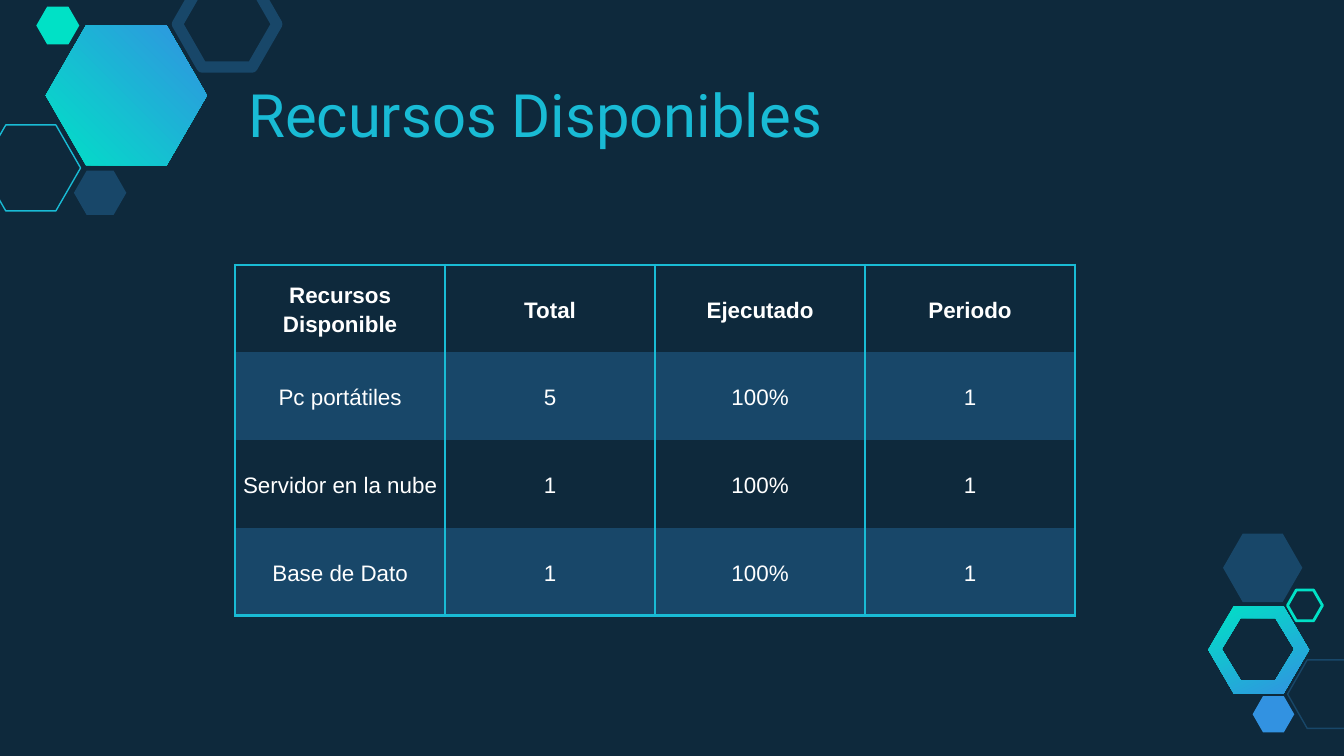
"""Build the "Recursos Disponibles" slide: a resource table framed by hexagons."""
from typing import NamedTuple, Optional

from lxml.etree import SubElement
from pptx import Presentation
from pptx.dml.color import RGBColor
from pptx.enum.shapes import MSO_SHAPE
from pptx.enum.text import MSO_ANCHOR, PP_ALIGN
from pptx.oxml.ns import qn
from pptx.util import Inches, Pt

NAVY = RGBColor(0x0E, 0x29, 0x3C)
STEEL = RGBColor(0x18, 0x47, 0x69)
CYAN = RGBColor(0x19, 0xBB, 0xD5)
MINT = RGBColor(0x00, 0xE1, 0xC6)
BLUE = RGBColor(0x32, 0x92, 0xE1)
WHITE = RGBColor(0xFF, 0xFF, 0xFF)


class Hexagon(NamedTuple):
    left: float
    top: float
    width: float
    height: float
    fill: Optional[RGBColor] = None
    line: Optional[RGBColor] = None
    line_width: float = 0


class Outline(NamedTuple):
    left: float
    top: float
    width: float
    height: float
    inset: float


class GradientHexagon(NamedTuple):
    outlines: list[Outline]
    angle: float


GRADIENT_HEXAGONS = [
    GradientHexagon([Outline(8.99, 4.51, 0.75, 0.65, 0.19), Outline(9.09, 4.6, 0.54, 0.46, 0.14)], 296),
    GradientHexagon([Outline(0.34, 0.19, 1.2, 1.04, 0.3)], 45),
]
HEXAGONS = [
    Hexagon(-0.14, 0.93, 0.74, 0.64, line=CYAN, line_width=0.75),
    Hexagon(0.55, 1.27, 0.39, 0.33, fill=STEEL),
    Hexagon(1.32, -0.14, 0.74, 0.64, line=STEEL, line_width=6),
    Hexagon(0.27, 0.05, 0.32, 0.28, fill=MINT),
    Hexagon(9.58, 4.91, 0.59, 0.51, line=STEEL, line_width=0.75),
    Hexagon(9.32, 5.18, 0.31, 0.27, fill=BLUE),
    Hexagon(9.1, 3.97, 0.59, 0.51, fill=STEEL),
    Hexagon(9.58, 4.39, 0.26, 0.23, line=MINT, line_width=1.5),
]
ROWS = [
    ("Recursos Disponible", "Total", "Ejecutado", "Periodo"),
    ("Pc portátiles", "5", "100%", "1"),
    ("Servidor en la nube", "1", "100%", "1"),
    ("Base de Dato", "1", "100%", "1"),
]


def outline_points(outline: Outline, reverse: bool) -> list[tuple[int, int]]:
    """Return the six corners of a flat-topped hexagon."""
    left, top, width, height, inset = outline
    right, bottom, middle = left + width, top + height, top + height / 2
    corners = [(left, middle), (left + inset, top), (right - inset, top),
               (right, middle), (right - inset, bottom), (left + inset, bottom)]
    points = [(Inches(x), Inches(y)) for x, y in corners]
    return points[::-1] if reverse else points


def draw_gradient_hexagon(slide, hexagon: GradientHexagon) -> None:
    """Draw a gradient hexagon whose second outline, if any, is a hole."""
    builder = None
    for index, outline in enumerate(hexagon.outlines):
        start, *rest = outline_points(outline, reverse=index > 0)
        if builder is None:
            builder = slide.shapes.build_freeform(*start)
        else:
            builder.move_to(*start)
        builder.add_line_segments(rest, close=True)
    shape = builder.convert_to_shape()
    shape.shadow.inherit = False
    shape.line.fill.background()
    shape.fill.gradient()
    shape.fill.gradient_angle = hexagon.angle
    for stop, color in zip(shape.fill.gradient_stops, (MINT, BLUE)):
        stop.color.rgb = color


def draw_hexagon(slide, hexagon: Hexagon) -> None:
    """Draw a plain hexagon, filled or outlined."""
    box = [Inches(value) for value in hexagon[:4]]
    shape = slide.shapes.add_shape(MSO_SHAPE.HEXAGON, *box)
    shape.adjustments[0] = 0.287
    shape.shadow.inherit = False
    if hexagon.fill is None:
        shape.fill.background()
    else:
        shape.fill.solid()
        shape.fill.fore_color.rgb = hexagon.fill
    if hexagon.line is None:
        shape.line.fill.background()
    else:
        shape.line.color.rgb = hexagon.line
        shape.line.width = Pt(hexagon.line_width)


def draw_title(slide, text: str) -> None:
    """Draw the slide title."""
    frame = slide.shapes.add_textbox(Inches(1.75), Inches(0.5), Inches(7.4), Inches(0.71)).text_frame
    frame.word_wrap = True
    frame.vertical_anchor = MSO_ANCHOR.BOTTOM
    frame.margin_left = frame.margin_right = frame.margin_top = frame.margin_bottom = Inches(0.1)
    paragraph = frame.paragraphs[0]
    paragraph.text = text
    paragraph.font.name = "Roboto"
    paragraph.font.size = Pt(32)
    paragraph.font.color.rgb = CYAN


def set_borders(cell, visible: str) -> None:
    """Show the named cell sides (L, R, T, B) and hide the others."""
    properties = cell._tc.get_or_add_tcPr()
    for side in "LRTB":
        line = SubElement(properties, qn(f"a:ln{side}"), w=str(Pt(1.5)))
        if side in visible:
            fill = SubElement(line, qn("a:solidFill"))
            SubElement(fill, qn("a:srgbClr"), val=str(CYAN))
        else:
            SubElement(line, qn("a:noFill"))


def draw_table(slide, rows: list[tuple[str, ...]]) -> None:
    """Draw the resource table with alternate rows shaded."""
    last = len(rows) - 1
    table = slide.shapes.add_table(len(rows), len(rows[0]), Inches(1.75), Inches(1.97),
                                   Inches(6.25), Inches(2.61)).table
    for row_index, row in enumerate(rows):
        sides = "LR" + "T" * (row_index == 0) + "B" * (row_index == last)
        for column_index, text in enumerate(row):
            cell = table.cell(row_index, column_index)
            set_borders(cell, sides)
            if row_index % 2:
                cell.fill.solid()
                cell.fill.fore_color.rgb = STEEL
            else:
                cell.fill.background()
            cell.vertical_anchor = MSO_ANCHOR.MIDDLE
            cell.margin_left = cell.margin_right = Inches(0.05)
            cell.margin_top = cell.margin_bottom = 0
            paragraph = cell.text_frame.paragraphs[0]
            paragraph.text = text
            paragraph.alignment = PP_ALIGN.CENTER
            paragraph.line_spacing = 1.15
            paragraph.font.name = "Arial"
            paragraph.font.size = Pt(12)
            paragraph.font.bold = row_index == 0
            paragraph.font.color.rgb = WHITE


def main() -> None:
    """Create and save the presentation."""
    presentation = Presentation()
    presentation.slide_width = Inches(10)
    presentation.slide_height = Inches(10 * 9 / 16)
    slide = presentation.slides.add_slide(presentation.slide_layouts[6])
    slide.background.fill.solid()
    slide.background.fill.fore_color.rgb = NAVY
    for gradient_hexagon in GRADIENT_HEXAGONS:
        draw_gradient_hexagon(slide, gradient_hexagon)
    for hexagon in HEXAGONS:
        draw_hexagon(slide, hexagon)
    draw_title(slide, "Recursos Disponibles")
    draw_table(slide, ROWS)
    presentation.save("out.pptx")


if __name__ == "__main__":
    main()
